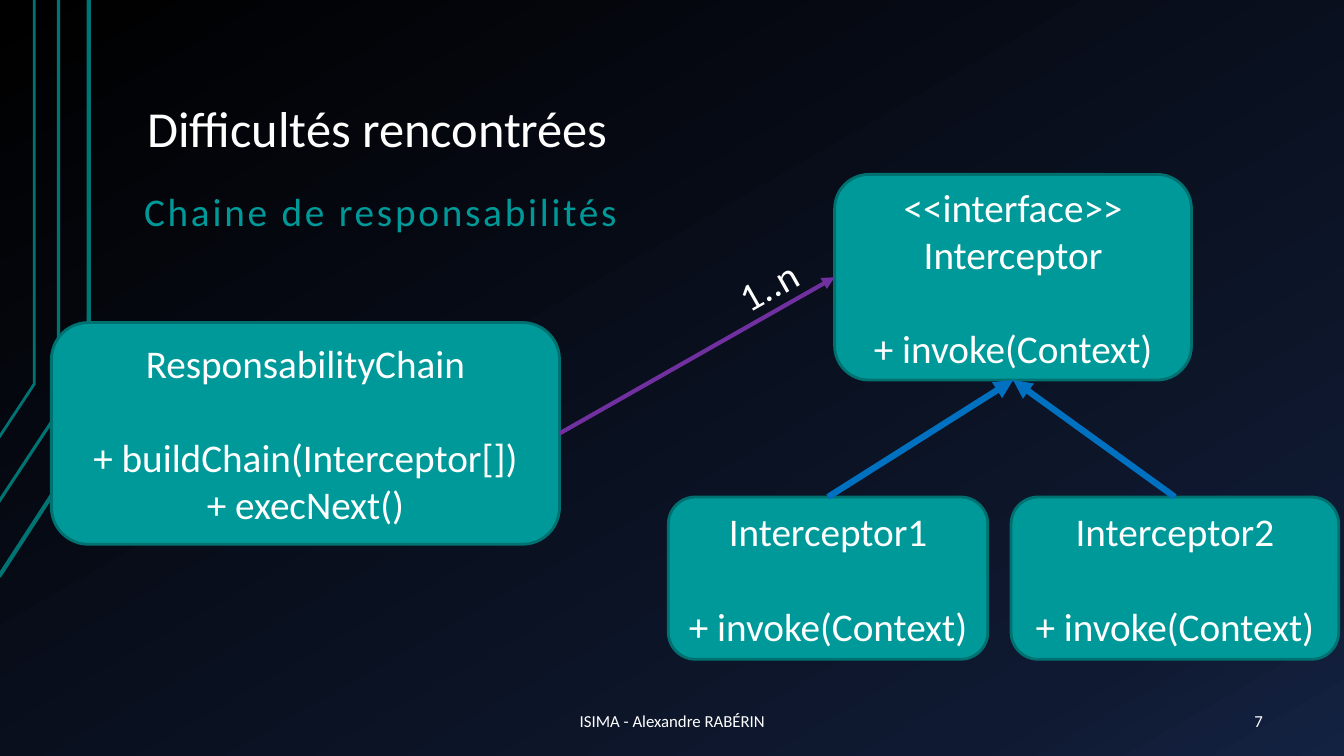
from dataclasses import dataclass

from lxml.etree import SubElement
from pptx import Presentation
from pptx.dml.color import RGBColor
from pptx.enum.shapes import MSO_CONNECTOR, MSO_SHAPE
from pptx.enum.text import MSO_ANCHOR, MSO_AUTO_SIZE, PP_ALIGN
from pptx.oxml import parse_xml
from pptx.oxml.ns import nsdecls, qn
from pptx.util import Pt


@dataclass(frozen=True)
class Theme:
    font: str = "Calibri"
    white: str = "FFFFFF"
    teal: str = "009999"
    outline: str = "007171"
    rail: str = "007373"
    purple: str = "7030A0"
    blue: str = "0070C0"
    backdrop: tuple = ((0, "000000"), (85, "0F1931"), (100, "142242"))
    backdrop_angle: int = 60
    title: int = 36
    body: int = 28
    footer: int = 12
    blank_line: int = 34


THEME = Theme()
TOP, LEFT, BOTTOM, RIGHT = range(4)
WIDE_INSETS = (9.4, 5)
NORMAL_INSETS = (7.2, 3.6)

TITLE = "Difficultés rencontrées"
SUBTITLE = "Chaine de responsabilités"
FOOTER = "ISIMA - Alexandre RABÉRIN"
PAGE_NUMBER = "7"
MULTIPLICITY = "1..n"

RAILS = [
    (3, [(-0.7, 411.8), (63.4, 313.2), (63.4, 0)]),
    (2.25, [(-1.4, 359.3), (41.8, 293.8), (41.8, 0)]),
    (2, [(-0.7, 312.5), (24.5, 274.3), (24.5, 0)]),
]
CLASSES = {
    "chain": ((36.7, 230.4, 363, 158.4), ["ResponsabilityChain"],
              ["+ buildChain(Interceptor[])", "+ execNext()"]),
    "interface": ((596.2, 124.6, 254.9, 146.9), ["<<interface>>", "Interceptor"],
                  ["+ invoke(Context)"]),
    "first": ((477.4, 355, 228.2, 115.9), ["Interceptor1"], ["+ invoke(Context)"]),
    "second": ((722.2, 355, 234, 115.9), ["Interceptor2"], ["+ invoke(Context)"]),
}
ARROWS = [
    ("chain", RIGHT, "interface", LEFT, THEME.purple, 3),
    ("first", TOP, "interface", BOTTOM, THEME.blue, 4.5),
    ("second", TOP, "interface", BOTTOM, THEME.blue, 4.5),
]


def color(value):
    return RGBColor.from_string(value)


def write(box, lines, size, ink=THEME.white, align=PP_ALIGN.LEFT,
          anchor=MSO_ANCHOR.TOP, insets=NORMAL_INSETS, wrap=True):
    frame = box.text_frame
    frame.text = "\n".join(lines)
    frame.word_wrap = wrap
    frame.auto_size = MSO_AUTO_SIZE.NONE
    frame.vertical_anchor = anchor
    frame.margin_left = frame.margin_right = Pt(insets[0])
    frame.margin_top = frame.margin_bottom = Pt(insets[1])
    for para in frame.paragraphs:
        para.alignment = align
        for span in para.runs:
            span.font.name = THEME.font
            span.font.size = Pt(size)
            span.font.color.rgb = color(ink)
    return frame


def place(box, bounds):
    box.left, box.top, box.width, box.height = map(Pt, bounds)


def add_text(page, bounds, text, size, **style):
    box = page.shapes.add_textbox(*map(Pt, bounds))
    write(box, [text], size, **style)
    return box


def paint_background(page):
    stops = "".join(
        f'<a:gs pos="{position * 1000}"><a:srgbClr val="{value}"/></a:gs>'
        for position, value in THEME.backdrop)
    gradient = parse_xml(
        f'<a:gradFill {nsdecls("a")} rotWithShape="1"><a:gsLst>{stops}</a:gsLst>'
        f'<a:lin ang="{THEME.backdrop_angle * 60000}" scaled="0"/></a:gradFill>')
    fill = page.background.fill
    fill.solid()
    fill.fore_color.rgb = color(THEME.backdrop[0][1])
    solid = page.element.find(".//" + qn("p:bgPr")).find(qn("a:solidFill"))
    solid.getparent().replace(solid, gradient)


def add_rail(page, width, points):
    start, *rest = [(Pt(x), Pt(y)) for x, y in points]
    builder = page.shapes.build_freeform(*start)
    builder.add_line_segments(rest, close=False)
    rail = builder.convert_to_shape()
    rail.shadow.inherit = False
    rail.fill.background()
    rail.line.color.rgb = color(THEME.rail)
    rail.line.width = Pt(width)


def add_class(page, bounds, names, methods):
    box = page.shapes.add_shape(MSO_SHAPE.ROUNDED_RECTANGLE, *map(Pt, bounds))
    box.shadow.inherit = False
    box.fill.solid()
    box.fill.fore_color.rgb = color(THEME.teal)
    box.line.color.rgb = color(THEME.outline)
    box.line.width = Pt(2)
    frame = write(box, names + methods, THEME.body,
                  align=PP_ALIGN.CENTER, anchor=MSO_ANCHOR.MIDDLE)
    frame.paragraphs[len(names)].space_before = Pt(THEME.blank_line)
    return box


def add_arrow(page, source, source_site, target, target_site, ink, width):
    arrow = page.shapes.add_connector(MSO_CONNECTOR.STRAIGHT, 0, 0, 0, 0)
    arrow.begin_connect(source, source_site)
    arrow.end_connect(target, target_site)
    arrow.line.color.rgb = color(ink)
    arrow.line.width = Pt(width)
    SubElement(arrow.line._get_or_add_ln(), qn("a:tailEnd"), type="triangle")
    SubElement(arrow.element.spPr, qn("a:effectLst"))


deck = Presentation()
deck.slide_width, deck.slide_height = Pt(960), Pt(540)
page = deck.slides.add_slide(deck.slide_layouts.get_by_name("Title Only"))
paint_background(page)

for width, points in RAILS:
    add_rail(page, width, points)

title = page.shapes.title
place(title, (95.8, 21.6, 815.8, 96.5))
frame = write(title, [TITLE], THEME.title, anchor=MSO_ANCHOR.BOTTOM, insets=WIDE_INSETS)
frame.paragraphs[0].line_spacing = 0.9

add_text(page, (272.2, 500.4, 416.2, 28.8), FOOTER, THEME.footer,
         align=PP_ALIGN.CENTER, anchor=MSO_ANCHOR.MIDDLE, insets=WIDE_INSETS)
add_text(page, (831.6, 500.4, 79.9, 28.8), PAGE_NUMBER, THEME.footer,
         align=PP_ALIGN.RIGHT, anchor=MSO_ANCHOR.MIDDLE, insets=WIDE_INSETS)

subtitle = add_text(page, (95.8, 133.9, 815.8, 351.4), SUBTITLE, THEME.body, ink=THEME.teal)
heading = subtitle.text_frame.paragraphs[0]
heading.line_spacing = 0.9
heading.runs[0].font._element.set("spc", "200")

boxes = {key: add_class(page, *content) for key, content in CLASSES.items()}
for source, source_site, target, target_site, ink, width in ARROWS:
    add_arrow(page, boxes[source], source_site, boxes[target], target_site, ink, width)

label = add_text(page, (519.1, 179.3, 73.4, 41), MULTIPLICITY, THEME.body)
label.rotation = 330.5

deck.save("out.pptx")
